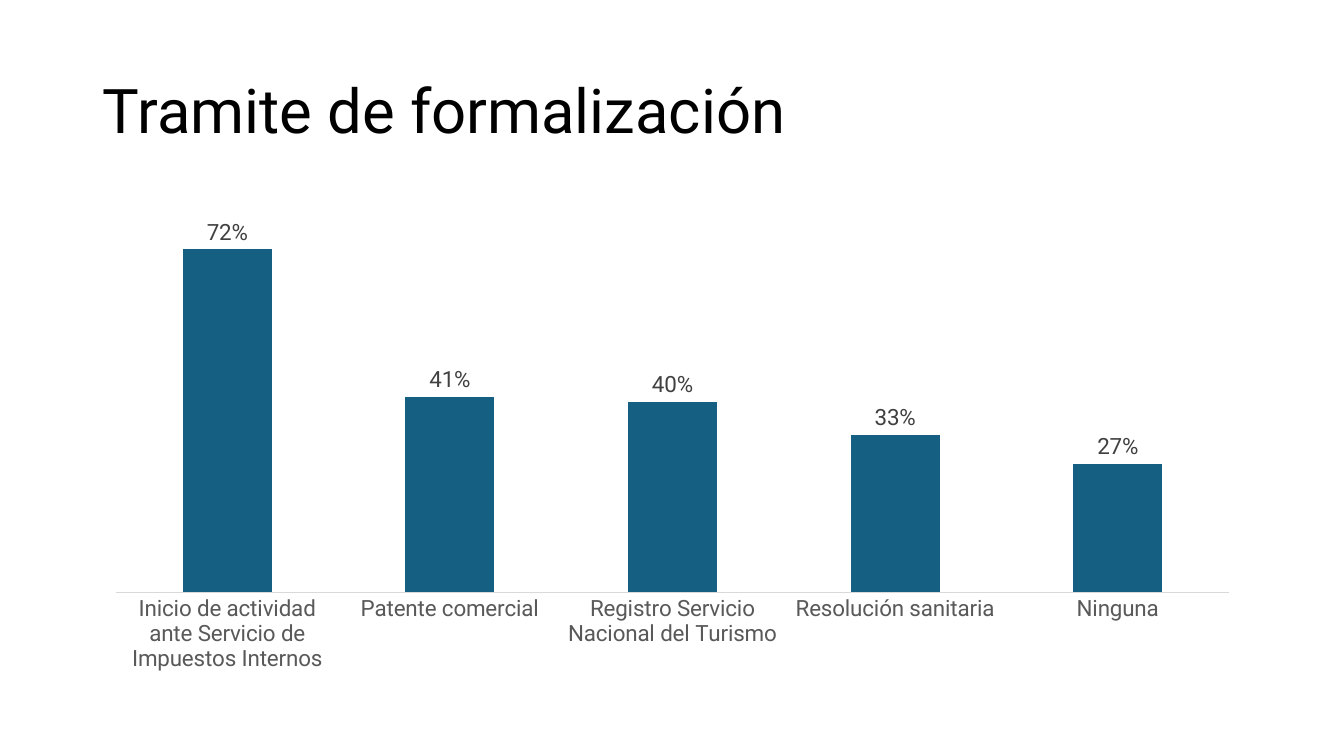
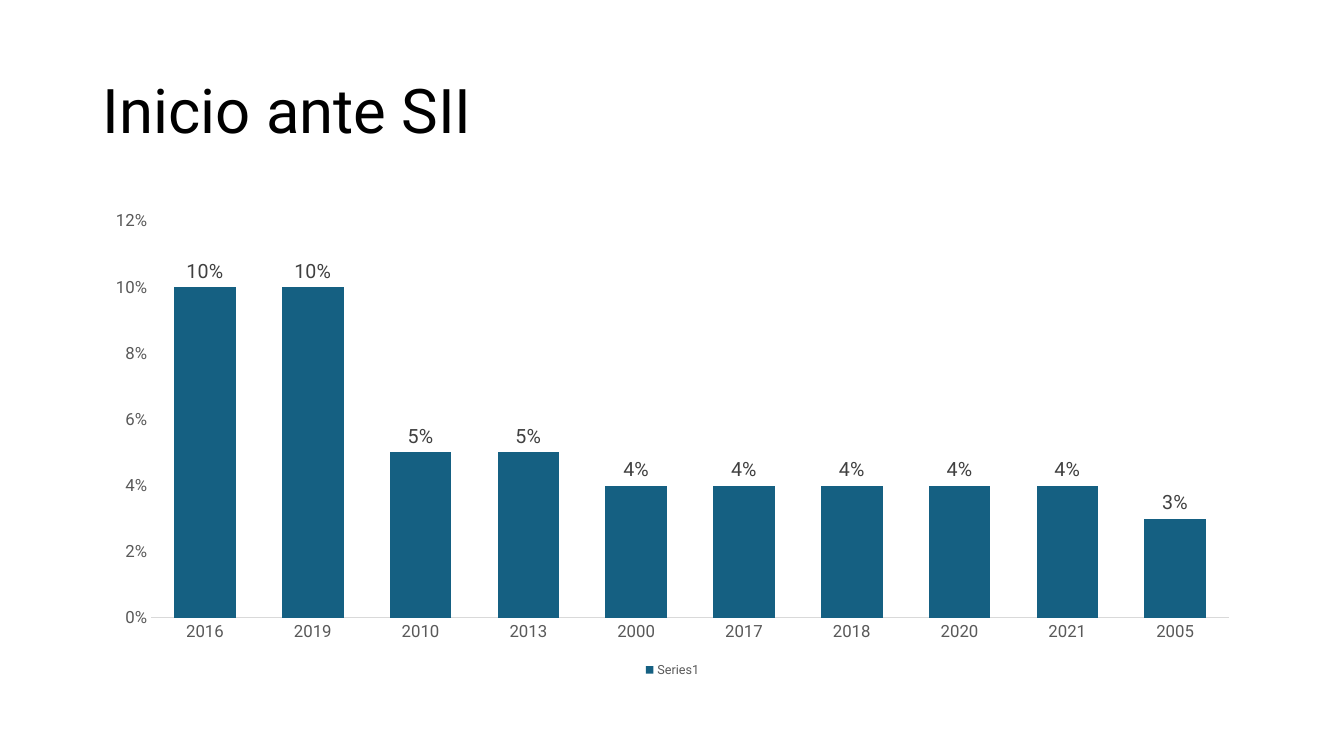
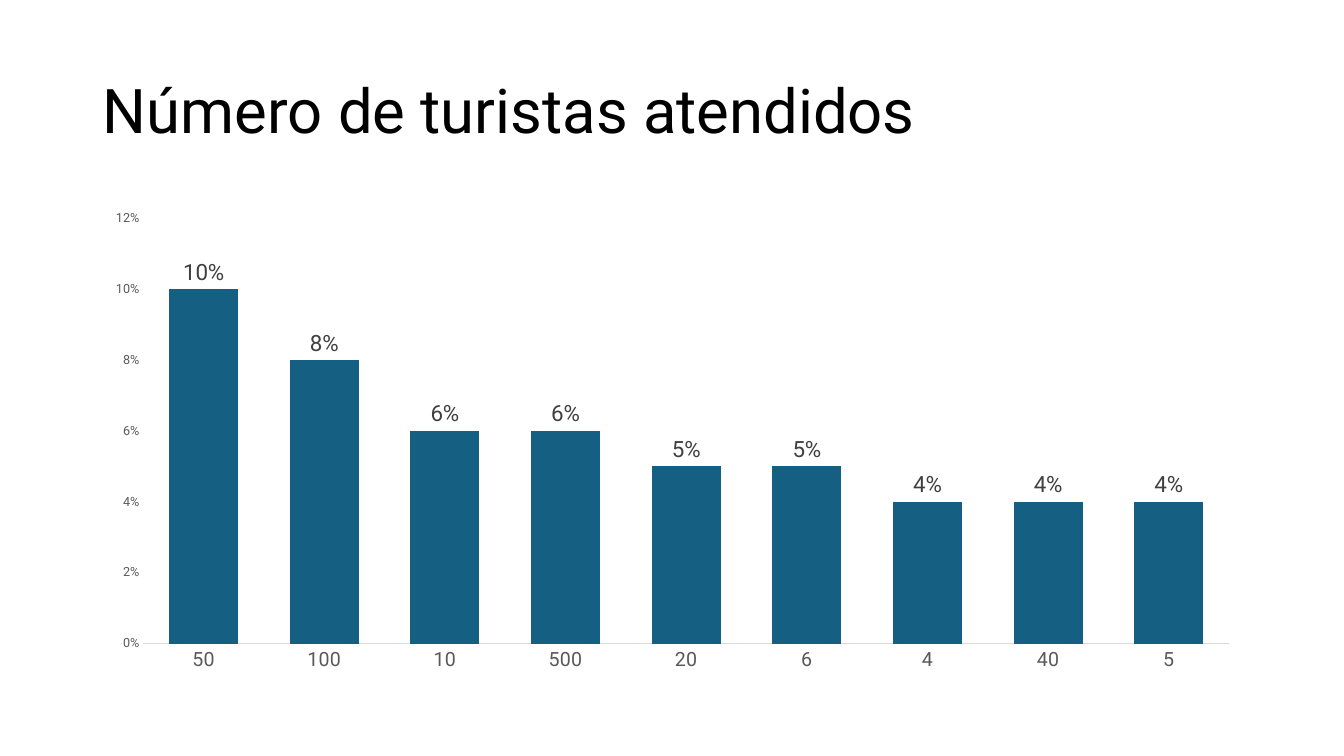
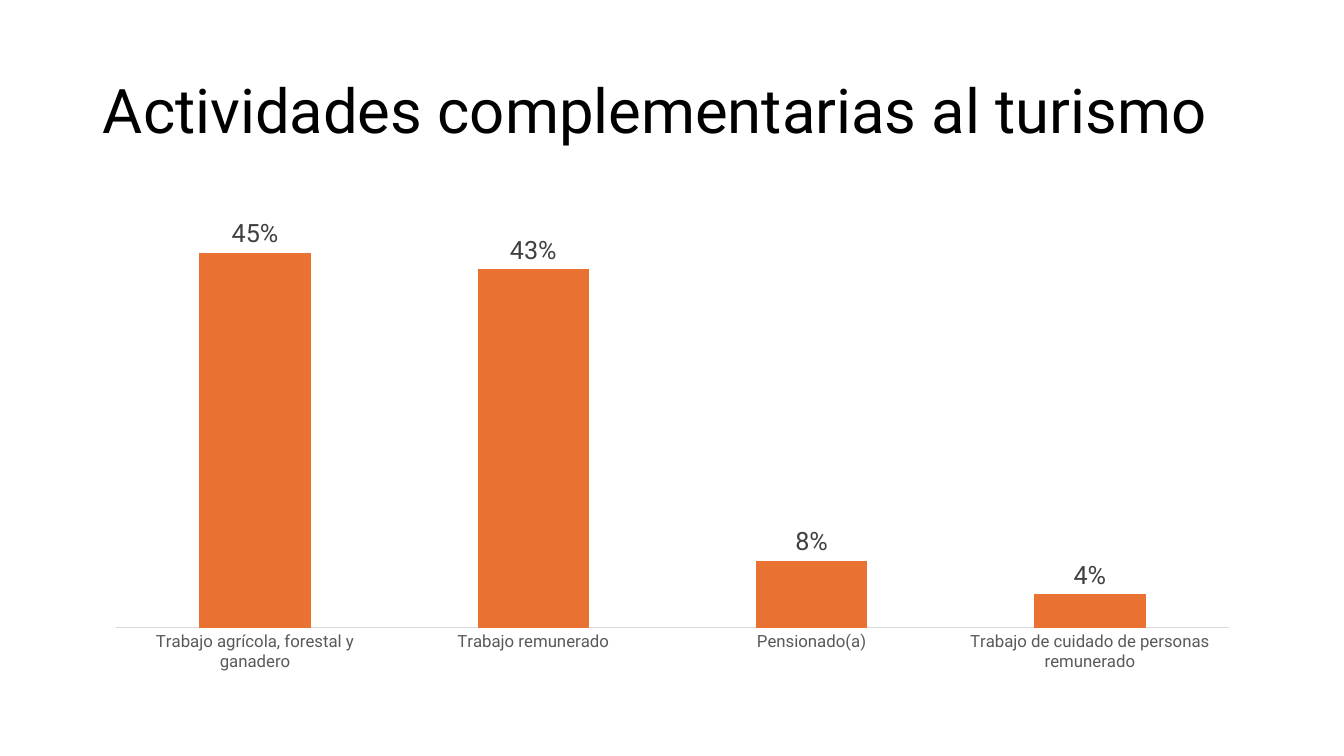
import pptx
import pptx.util
import pptx.chart.data
import pptx.dml.color
import pptx.enum.chart
import pptx.enum.text

Inches = pptx.util.Inches
Pt = pptx.util.Pt

FONT = "Roboto"
COLORS = {
    "title": "000000",
    "axis": "595959",
    "label": "404040",
    "line": "D9D9D9",
    "blue": "156082",
    "orange": "E97132",
}
LEFT, WIDTH = 0.92, 11.5
TITLE_ONLY = 5


def color(name):
    return pptx.dml.color.RGBColor.from_string(COLORS[name])


def style(font, size, name):
    font.name = FONT
    font.size = Pt(size)
    font.color.rgb = color(name)


def add_title(slide, text):
    title = slide.shapes.title
    title.left, title.top = Inches(LEFT), Inches(0.4)
    title.width, title.height = Inches(WIDTH), Inches(1.45)
    frame = title.text_frame
    frame.word_wrap = True
    frame.vertical_anchor = pptx.enum.text.MSO_ANCHOR.MIDDLE
    para = frame.paragraphs[0]
    para.alignment = pptx.enum.text.PP_ALIGN.LEFT
    para.line_spacing = 0.9
    run = para.add_run()
    run.text = text
    style(run.font, 44, "title")


def set_axes(chart, cat_size, val_size, top, step):
    """Style both axes; without a val_size the value axis is hidden."""
    ticks = pptx.enum.chart.XL_TICK_MARK
    cat, val = chart.category_axis, chart.value_axis
    for axis in (cat, val):
        axis.major_tick_mark = axis.minor_tick_mark = ticks.NONE
        axis.has_major_gridlines = False
    style(cat.tick_labels.font, cat_size, "axis")
    cat.format.line.color.rgb = color("line")
    cat.format.line.width = Pt(0.75)
    val.minimum_scale, val.maximum_scale = 0, top
    val.major_unit = step
    val.tick_labels.number_format = "0%"
    val.tick_labels.number_format_is_linked = False
    val.format.line.fill.background()
    if val_size:
        style(val.tick_labels.font, val_size, "axis")
    else:
        val.visible = False


def set_bars(chart, fill, size, gap, overlap):
    plot = chart.plots[0]
    plot.vary_by_categories = False
    plot.gap_width = gap
    plot.overlap = overlap
    bars = plot.series[0]
    bars.format.fill.solid()
    bars.format.fill.fore_color.rgb = color(fill)
    labels = bars.data_labels
    labels.show_value = True
    labels.number_format = "0%"
    labels.number_format_is_linked = False
    labels.position = pptx.enum.chart.XL_LABEL_POSITION.OUTSIDE_END
    style(labels.font, size, "label")


def add_legend(chart):
    chart.has_legend = True
    legend = chart.legend
    legend.position = pptx.enum.chart.XL_LEGEND_POSITION.BOTTOM
    legend.include_in_layout = False
    style(legend.font, 9, "axis")


def add_chart(slide, items, cat_size, label_size, top, step, val_size=None,
              fill="blue", gap=150, overlap=-25, name="Series 1"):
    """Add a column chart of (category, percent) items."""
    data = pptx.chart.data.CategoryChartData(number_format="0%")
    data.categories = [cat for cat, _ in items]
    data.add_series(name, [value / 100 for _, value in items])
    kind = pptx.enum.chart.XL_CHART_TYPE.COLUMN_CLUSTERED
    chart = slide.shapes.add_chart(
        kind, Inches(LEFT), Inches(2), Inches(WIDTH), Inches(4.76), data).chart
    chart.has_title = False
    chart.has_legend = False
    style(chart.font, 10, "title")
    set_axes(chart, cat_size, val_size, top, step)
    set_bars(chart, fill, label_size, gap, overlap)
    return chart


def add_slide(deck, title):
    slide = deck.slides.add_slide(deck.slide_layouts[TITLE_ONLY])
    add_title(slide, title)
    return slide


def main():
    deck = pptx.Presentation()
    deck.slide_width, deck.slide_height = Inches(13.33), Inches(7.5)

    slide = add_slide(deck, "Tramite de formalización")
    add_chart(slide, [
        ("Inicio de actividad ante Servicio de Impuestos Internos", 72),
        ("Patente comercial", 41),
        ("Registro Servicio Nacional del Turismo", 40),
        ("Resolución sanitaria", 33),
        ("Ninguna", 27),
    ], cat_size=16, label_size=16, top=0.8, step=0.1)

    slide = add_slide(deck, "Inicio ante SII")
    chart = add_chart(slide, [
        ("2016", 10), ("2019", 10), ("2010", 5), ("2013", 5), ("2000", 4),
        ("2017", 4), ("2018", 4), ("2020", 4), ("2021", 4), ("2005", 3),
    ], cat_size=12, label_size=14, top=0.12, step=0.02, val_size=12,
        gap=75, overlap=0, name="Series1")
    add_legend(chart)

    slide = add_slide(deck, "Número de turistas atendidos")
    add_chart(slide, [
        ("50", 10), ("100", 8), ("10", 6), ("500", 6), ("20", 5),
        ("6", 5), ("4", 4), ("40", 4), ("5", 4),
    ], cat_size=14, label_size=16, top=0.12, step=0.02, val_size=9,
        gap=75, overlap=0)

    slide = add_slide(deck, "Actividades complementarias al turismo")
    add_chart(slide, [
        ("Trabajo agrícola, forestal y ganadero", 45),
        ("Trabajo remunerado", 43),
        ("Pensionado(a)", 8),
        ("Trabajo de cuidado de personas remunerado", 4),
    ], cat_size=12, label_size=18, top=0.5, step=0.1, fill="orange")

    deck.save("out.pptx")


if __name__ == "__main__":
    main()
